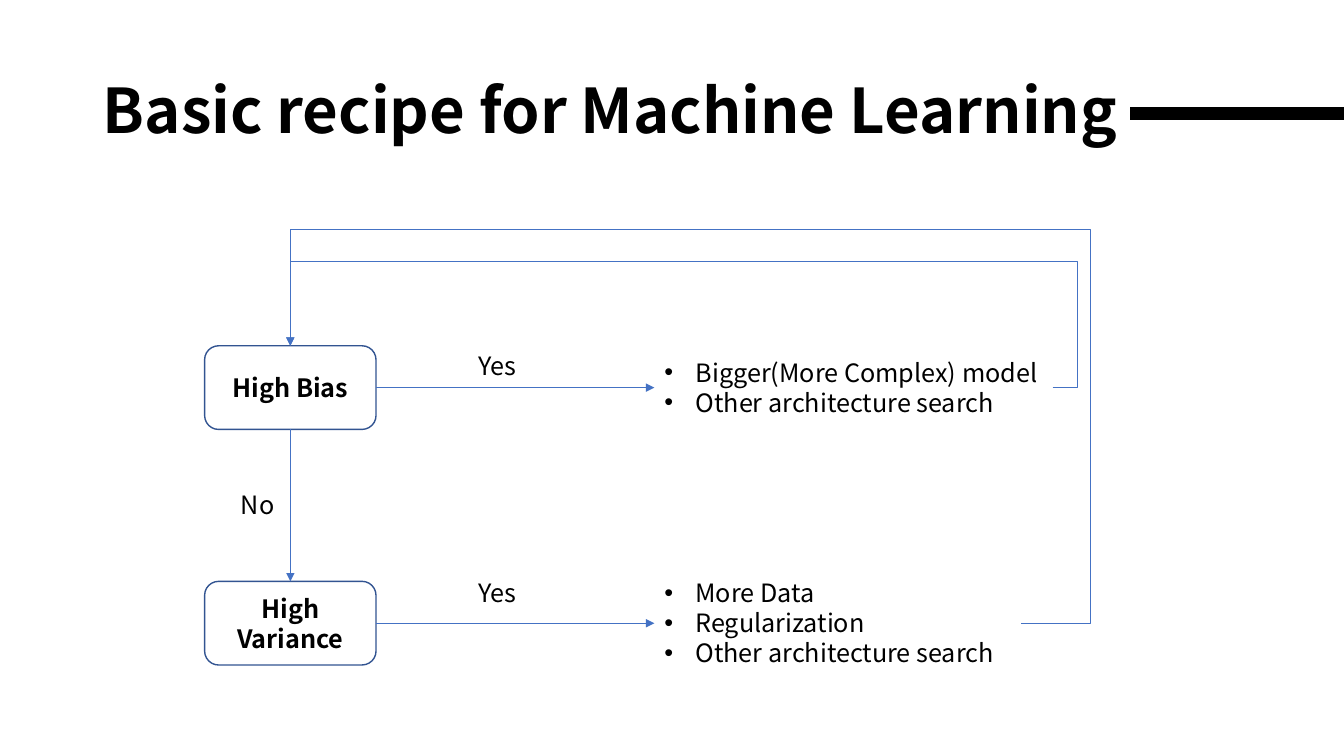
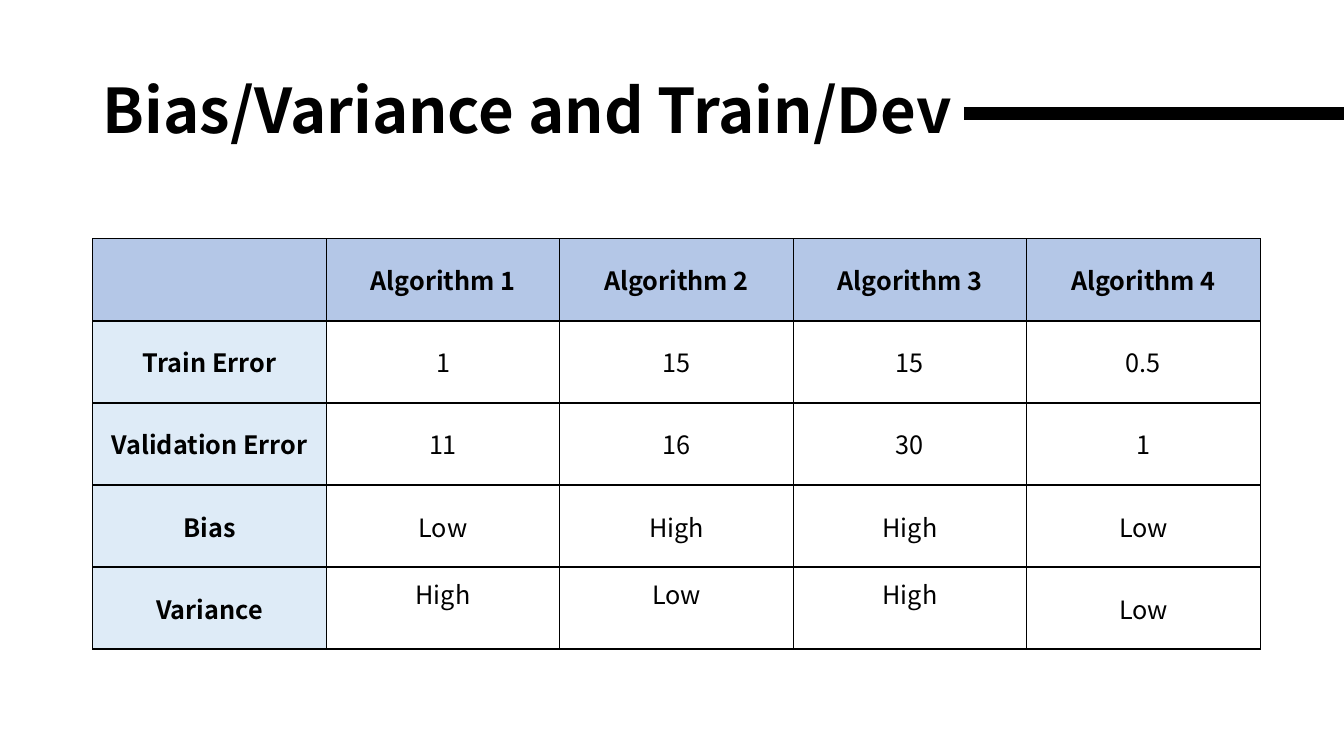
from lxml import etree
from pptx import Presentation
from pptx.dml.color import RGBColor
from pptx.enum.shapes import MSO_CONNECTOR, MSO_SHAPE
from pptx.enum.text import MSO_ANCHOR, MSO_AUTO_SIZE, PP_ALIGN
from pptx.oxml.ns import qn
from pptx.util import Inches, Pt

STRAIGHT, ELBOW = MSO_CONNECTOR.STRAIGHT, MSO_CONNECTOR.ELBOW
ROUNDED = MSO_SHAPE.ROUNDED_RECTANGLE
TOP, MIDDLE = MSO_ANCHOR.TOP, MSO_ANCHOR.MIDDLE
LEFT, CENTER = PP_ALIGN.LEFT, PP_ALIGN.CENTER
GROW = MSO_AUTO_SIZE.SHAPE_TO_FIT_TEXT
SIDE_TOP, SIDE_LEFT, SIDE_BOTTOM, SIDE_RIGHT = range(4)

WIDTH, HEIGHT = 13.33, 7.5
MARGIN = 0.92
FONT = "Noto Sans CJK KR"
BLACK, ARROW_BLUE, NODE_BLUE = "000000", "4472C4", "325491"
HEADER_FILL, LABEL_FILL = "B4C7E7", "DEEBF7"


def color(value):
    return RGBColor.from_string(value)


def add_text(paragraph, text, size=18, bold=False, align=LEFT):
    paragraph.alignment = align
    run = paragraph.add_run()
    run.text = text
    run.font.name = FONT
    run.font.size = Pt(size)
    run.font.bold = bold
    run.font.color.rgb = color(BLACK)


def add_text_box(slide, left, top, width, height, wrap=True):
    shape = slide.shapes.add_textbox(*map(Inches, (left, top, width, height)))
    shape.text_frame.word_wrap = wrap
    return shape


def add_line(slide, kind, start, end, line_color, width, arrow=False):
    line = slide.shapes.add_connector(kind, *map(Inches, start + end))
    line.line.color.rgb = color(line_color)
    line.line.width = Pt(width)
    properties = line._element.spPr
    if arrow:
        etree.SubElement(properties.find(qn("a:ln")), qn("a:tailEnd"), type="triangle")
    etree.SubElement(properties, qn("a:effectLst"))
    return line


def add_title(slide, text, width):
    """Title on the left, with a thick rule running on to the slide's edge."""
    top, height, rule_y = 0.4, 1.45, 0.15 * HEIGHT
    frame = add_text_box(slide, MARGIN, top, width, height).text_frame
    frame.vertical_anchor = MIDDLE
    frame.paragraphs[0].line_spacing = 0.9
    add_text(frame.paragraphs[0], text, 44, True)
    add_line(slide, STRAIGHT, (MARGIN + width, rule_y), (WIDTH, rule_y), BLACK, 9)


def add_node(slide, left, top, width, height, text):
    node = slide.shapes.add_shape(ROUNDED, *map(Inches, (left, top, width, height)))
    node.shadow.inherit = False
    node.fill.background()
    node.line.color.rgb = color(NODE_BLUE)
    node.line.width = Pt(1)
    node.text_frame.vertical_anchor = MIDDLE
    add_text(node.text_frame.paragraphs[0], text, bold=True, align=CENTER)
    return node


def add_label(slide, left, top, width, text):
    frame = add_text_box(slide, left, top, width, 0.4, wrap=False).text_frame
    frame.auto_size = GROW
    add_text(frame.paragraphs[0], text)


def add_bullets(slide, left, top, width, height, items):
    box = add_text_box(slide, left, top, width, height)
    frame = box.text_frame
    frame.auto_size = GROW
    for index, item in enumerate(items):
        paragraph = frame.add_paragraph() if index else frame.paragraphs[0]
        add_text(paragraph, item)
        properties = paragraph._p.get_or_add_pPr()
        properties.set("marL", str(Inches(0.31)))
        properties.set("indent", str(-Inches(0.31)))
        etree.SubElement(properties, qn("a:buFont"), typeface="Arial")
        etree.SubElement(properties, qn("a:buChar"), char="•")
    return box


def join(slide, kind, source, source_side, target, target_side, start, end):
    line = add_line(slide, kind, start, end, ARROW_BLUE, 0.5, arrow=True)
    line.begin_connect(source, source_side)
    line.end_connect(target, target_side)
    return line


def bend(line, start, end, turn_x, turn_y):
    """Route an elbow out to turn_x, along turn_y, then into its end."""
    geometry = line._element.spPr.find(qn("a:prstGeom"))
    geometry.set("prst", "bentConnector4")
    guides = geometry.find(qn("a:avLst"))
    if guides is None:
        guides = etree.SubElement(geometry, qn("a:avLst"))
    shares = ((turn_x - start[0]) / (end[0] - start[0]),
              (turn_y - start[1]) / (end[1] - start[1]))
    for number, share in enumerate(shares, 1):
        etree.SubElement(guides, qn("a:gd"), name=f"adj{number}",
                         fmla=f"val {round(share * 100000)}")


def add_flowchart(slide, left, top, width, height, steps):
    """Questions on the left, remedies on the right, loops back to the first."""
    node_width, node_height = 1.7, 0.83
    list_left = left + 4.46
    center_x = left + node_width / 2
    row_centers = [top + 0.355 * height, top + 0.885 * height]
    nodes, remedies = [], []

    # Questions, remedies and the arrows between them
    for center_y, (question, items, list_width) in zip(row_centers, steps):
        node_top = center_y - node_height / 2
        list_height = 0.11 + 0.3 * len(items)
        list_top = center_y - list_height / 2
        node = add_node(slide, left, node_top, node_width, node_height, question)
        remedy = add_bullets(slide, list_left, list_top, list_width, list_height, items)
        join(slide, STRAIGHT, node, SIDE_RIGHT, remedy, SIDE_LEFT,
             (left + node_width, center_y), (list_left, center_y))
        add_label(slide, left + 2.62, min(node_top, list_top), 0.59, "Yes")
        nodes.append(node)
        remedies.append(remedy)

    # Way down to the next question
    first_top = row_centers[0] - node_height / 2
    join(slide, STRAIGHT, nodes[0], SIDE_BOTTOM, nodes[1], SIDE_TOP,
         (center_x, first_top + node_height), (center_x, row_centers[1] - node_height / 2))
    add_label(slide, left + 0.26, top + 2.53, 0.55, "No")

    # Loops back, the outer one on the edge of the box
    for index, (center_y, remedy) in enumerate(zip(row_centers, remedies)):
        inset = len(steps) - 1 - index
        start = (list_left + steps[index][2], center_y)
        end = (center_x, first_top)
        loop = join(slide, ELBOW, remedy, SIDE_RIGHT, nodes[0], SIDE_TOP, start, end)
        bend(loop, start, end, left + width - 0.13 * inset, top + 0.31 * inset)


def style_cell(cell, fill):
    if fill:
        cell.fill.solid()
        cell.fill.fore_color.rgb = color(fill)
    else:
        cell.fill.background()
    properties = cell._tc.get_or_add_tcPr()
    for index, side in enumerate(("a:lnL", "a:lnR", "a:lnT", "a:lnB")):
        border = etree.Element(qn(side), w=str(Pt(1)))
        solid = etree.SubElement(border, qn("a:solidFill"))
        etree.SubElement(solid, qn("a:srgbClr"), val=BLACK)
        properties.insert(index, border)


def add_grid(slide, left, top, width, height, rows, raised):
    """Even table with a header row and a label column."""
    row_count, column_count = len(rows), len(rows[0])
    table = slide.shapes.add_table(
        row_count, column_count, *map(Inches, (left, top, width, height))).table
    table.first_row = table.horz_banding = False
    for column in table.columns:
        column.width = Inches(width / column_count)
    for row in table.rows:
        row.height = Inches(height / row_count)
    for row_index, values in enumerate(rows):
        for column_index, value in enumerate(values):
            cell = table.cell(row_index, column_index)
            is_header, is_label = row_index == 0, column_index == 0
            style_cell(cell, HEADER_FILL if is_header else LABEL_FILL if is_label else None)
            cell.vertical_anchor = MIDDLE
            if (row_index, column_index) in raised:
                cell.vertical_anchor = TOP
                cell.margin_top = Inches(0.08)
            if value:
                add_text(cell.text_frame.paragraphs[0], value,
                         bold=is_header or is_label, align=CENTER)


def recipe_slide(slide):
    add_title(slide, "Basic recipe for Machine Learning", 10.29)
    add_flowchart(slide, 2.03, 2.28, 8.79, 4.41, [
        ("High Bias", ["Bigger(More Complex) model", "Other architecture search"], 3.95),
        ("High Variance", ["More Data", "Regularization", "Other architecture search"], 3.64),
    ])


def error_slide(slide):
    add_title(slide, "Bias/Variance and Train/Dev", 8.64)
    rows = [
        ["", "Algorithm 1", "Algorithm 2", "Algorithm 3", "Algorithm 4"],
        ["Train Error", "1", "15", "15", "0.5"],
        ["Validation Error", "11", "16", "30", "1"],
        ["Bias", "Low", "High", "High", "Low"],
        ["Variance", "High", "Low", "High", "Low"],
    ]
    add_grid(slide, MARGIN, 2.37, 11.58, 4.07, rows, raised={(4, 1), (4, 2), (4, 3)})


def main():
    presentation = Presentation()
    presentation.slide_width = Inches(WIDTH)
    presentation.slide_height = Inches(HEIGHT)
    blank = presentation.slide_layouts[6]
    for build in (recipe_slide, error_slide):
        build(presentation.slides.add_slide(blank))
    presentation.save("out.pptx")


if __name__ == "__main__":
    main()
